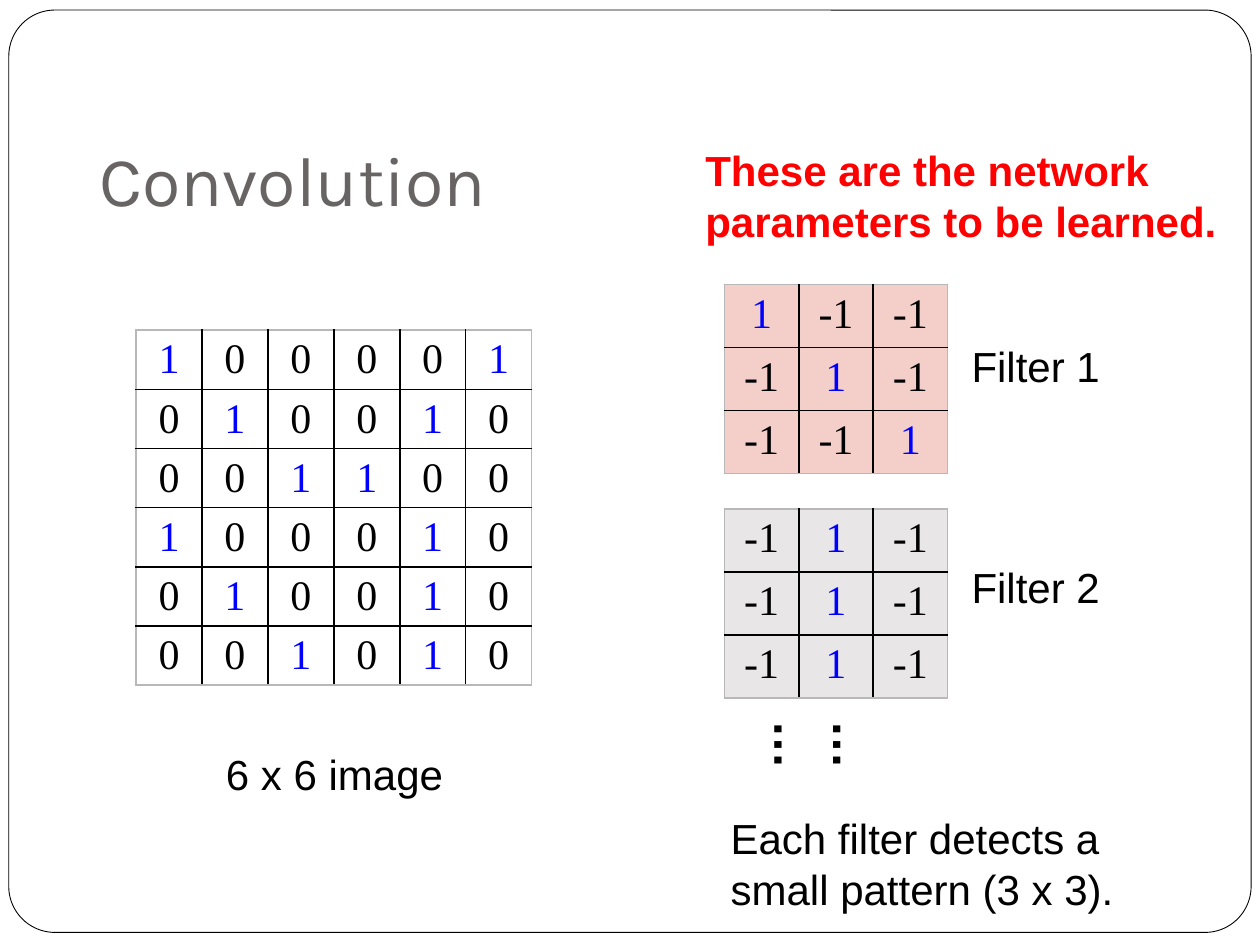
from dataclasses import dataclass
from typing import Optional

from lxml import etree
from pptx import Presentation
from pptx import util as u
from pptx.dml.color import RGBColor
from pptx.enum import shapes, text
from pptx.oxml.ns import qn

BLACK = RGBColor(0x00, 0x00, 0x00)
WHITE = RGBColor(0xFF, 0xFF, 0xFF)
BLUE = RGBColor(0x00, 0x00, 0xFF)
RED = RGBColor(0xFF, 0x00, 0x00)
TITLE_GRAY = RGBColor(0x69, 0x64, 0x64)
EDGE_GRAY = RGBColor(0xB8, 0xB8, 0xB8)
PINK = RGBColor(0xF4, 0xCE, 0xC9)
PALE_GRAY = RGBColor(0xE9, 0xE6, 0xE7)


@dataclass
class Matrix:
    left: float
    top: float
    width: float
    row_height: float
    rows: list[str]
    fill: Optional[RGBColor] = None


@dataclass
class Label:
    words: str
    left: float
    top: float
    width: float
    height: float
    centered: bool = False
    size: int = 24
    color: RGBColor = BLACK
    bold: bool = False
    rotation: int = 0


MATRICES = [
    Matrix(1.08, 2.62, 3.14, 0.47, [
        "1 0 0 0 0 1",
        "0 1 0 0 1 0",
        "0 0 1 1 0 0",
        "1 0 0 0 1 0",
        "0 1 0 0 1 0",
        "0 0 1 0 1 0",
    ]),
    Matrix(5.75, 2.26, 1.77, 0.5, ["1 -1 -1", "-1 1 -1", "-1 -1 1"], PINK),
    Matrix(5.75, 4.04, 1.77, 0.5, ["-1 1 -1"] * 3, PALE_GRAY),
]

LABELS = [
    Label("6 x 6 image", 1.37, 5.89, 2.57, 0.5, centered=True),
    Label("Filter 1", 7.43, 2.65, 1.58, 0.51, centered=True),
    Label("Filter 2", 7.43, 4.41, 1.58, 0.51, centered=True),
    Label("……", 6.38, 5.72, 0.77, 0.57, size=28, bold=True, rotation=90),
    Label("These are the network parameters to be learned.",
          5.5, 1.1, 4.33, 0.91, color=RED, bold=True),
    Label("Each filter detects a small pattern (3 x 3).", 5.7, 6.4, 3.89, 0.91),
]


def add_span(para, words: str, font: str, size: int, color: RGBColor,
             bold: bool = False) -> None:
    span = para.add_run()
    span.text = words
    span.font.name = font
    span.font.size = u.Pt(size)
    span.font.bold = bold
    span.font.color.rgb = color


def set_border(cell, side: str, color: RGBColor) -> None:
    line = etree.SubElement(cell._tc.get_or_add_tcPr(), qn(f"a:ln{side}"),
                            w=str(u.Pt(1)))
    solid = etree.SubElement(line, qn("a:solidFill"))
    etree.SubElement(solid, qn("a:srgbClr"), val=str(color))


def add_frame(page) -> None:
    frame = page.shapes.add_shape(
        shapes.MSO_SHAPE.ROUNDED_RECTANGLE,
        u.Inches(0.07), u.Inches(0.08), u.Inches(9.86), u.Inches(7.32))
    frame.adjustments[0] = 0.05
    frame.shadow.inherit = False
    frame.fill.solid()
    frame.fill.fore_color.rgb = WHITE
    frame.line.color.rgb = BLACK
    frame.line.width = u.Pt(0.5)
    # Send the frame behind the title
    page.shapes._spTree.insert(2, frame._element)


def add_title(page, words: str) -> None:
    title = page.shapes.title
    title.left, title.top = u.Inches(0.69), u.Inches(0.4)
    title.width, title.height = u.Inches(8.62), u.Inches(1.45)
    frame = title.text_frame
    frame.vertical_anchor = text.MSO_ANCHOR.BOTTOM
    frame.margin_bottom = u.Inches(0.1)
    para = frame.paragraphs[0]
    para.alignment = text.PP_ALIGN.LEFT
    add_span(para, words, "Karla", 40, TITLE_GRAY)


def add_matrix(page, matrix: Matrix) -> None:
    grid = [row.split() for row in matrix.rows]
    last_row, last_col = len(grid) - 1, len(grid[0]) - 1
    table = page.shapes.add_table(
        len(grid), len(grid[0]), u.Inches(matrix.left), u.Inches(matrix.top),
        u.Inches(matrix.width), u.Inches(matrix.row_height * len(grid))).table
    table.first_row = table.horz_banding = False
    for r, row in enumerate(grid):
        for c, value in enumerate(row):
            cell = table.cell(r, c)
            # Gray outer edge, black inner lines; borders come before the fill
            outer = {"L": c == 0, "R": c == last_col,
                     "T": r == 0, "B": r == last_row}
            for side, on_edge in outer.items():
                set_border(cell, side, EDGE_GRAY if on_edge else BLACK)
            if matrix.fill is None:
                cell.fill.background()
            else:
                cell.fill.solid()
                cell.fill.fore_color.rgb = matrix.fill
            para = cell.text_frame.paragraphs[0]
            para.alignment = text.PP_ALIGN.CENTER
            add_span(para, value, "Times New Roman", 24,
                     BLUE if value == "1" else BLACK)


def add_label(page, label: Label) -> None:
    box = page.shapes.add_textbox(
        u.Inches(label.left), u.Inches(label.top),
        u.Inches(label.width), u.Inches(label.height))
    box.rotation = label.rotation
    frame = box.text_frame
    frame.word_wrap = True
    frame.auto_size = text.MSO_AUTO_SIZE.SHAPE_TO_FIT_TEXT
    para = frame.paragraphs[0]
    para.alignment = (text.PP_ALIGN.CENTER if label.centered
                      else text.PP_ALIGN.LEFT)
    add_span(para, label.words, "Arial", label.size, label.color, label.bold)


def main() -> None:
    deck = Presentation()
    deck.slide_width, deck.slide_height = u.Inches(10), u.Inches(7.5)
    page = deck.slides.add_slide(deck.slide_layouts.get_by_name("Title Only"))

    # Frame and title
    add_frame(page)
    add_title(page, "Convolution")

    # Image and filter matrices, then their captions
    for matrix in MATRICES:
        add_matrix(page, matrix)
    for label in LABELS:
        add_label(page, label)

    deck.save("out.pptx")


if __name__ == "__main__":
    main()
